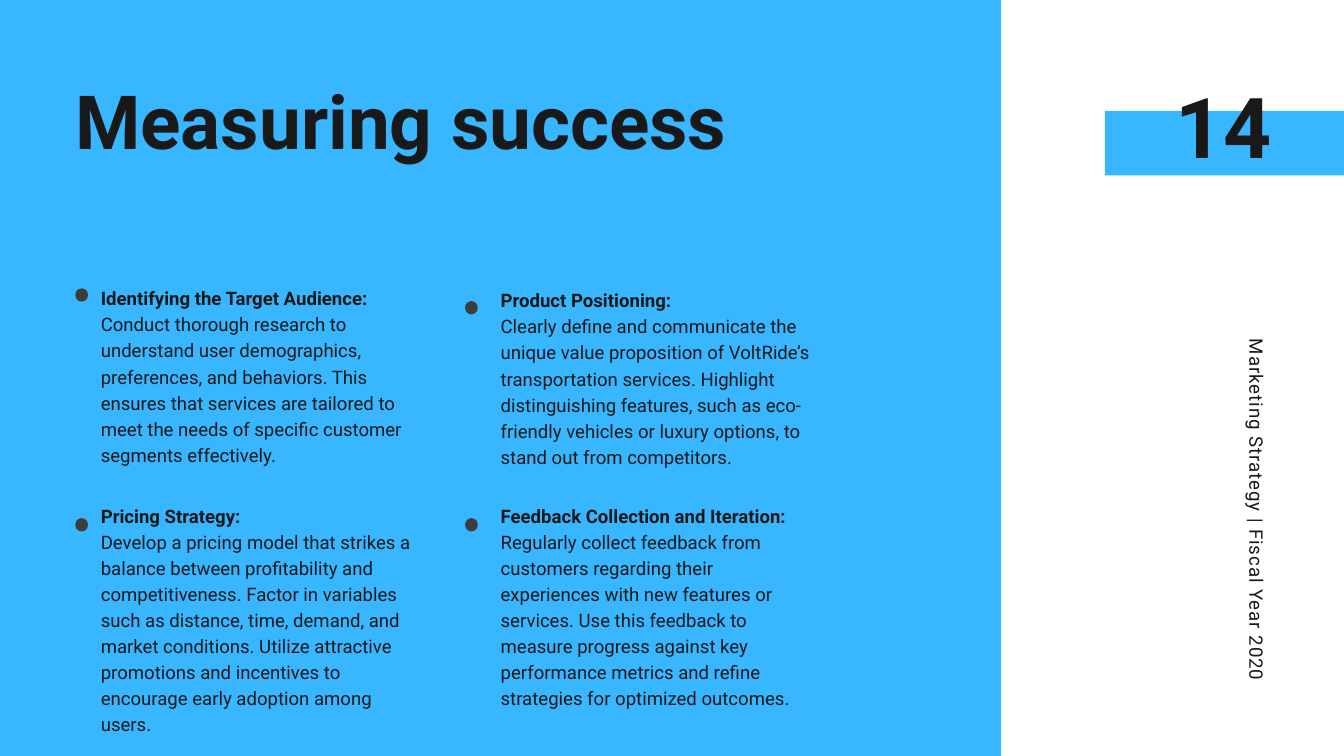
from pptx import Presentation
from pptx.dml.color import RGBColor
from pptx.enum.shapes import MSO_SHAPE
from pptx.enum.text import MSO_AUTO_SIZE, PP_ALIGN
from pptx.util import Inches, Pt

RECTANGLE, OVAL = MSO_SHAPE.RECTANGLE, MSO_SHAPE.OVAL
LEFT, CENTER, RIGHT = PP_ALIGN.LEFT, PP_ALIGN.CENTER, PP_ALIGN.RIGHT
FIT_SHAPE = MSO_AUTO_SIZE.SHAPE_TO_FIT_TEXT

FONT = "Roboto"
COLORS = {"blue": "38B6FF", "ink": "191919", "dot": "3D3D3D"}

COLUMNS = [(1.12, 1.5), (6.92, 7.45)]  # dot left, text left
TOPIC_WIDTH = 4.68
DOT_WIDTH, DOT_HEIGHT = 0.19, 0.2

# Column, dot top, text top, text height, heading, body
TOPICS = [
    (0, 4.29, 4.22, 2.69, "Identifying the Target Audience:",
     "Conduct thorough research to understand user demographics, preferences, "
     "and behaviors. This ensures that services are tailored to meet the needs "
     "of specific customer segments effectively."),
    (1, 4.48, 4.25, 3.08, "Product Positioning:",
     "Clearly define and communicate the unique value proposition of "
     "VoltRide’s transportation services. Highlight distinguishing features, "
     "such as eco-friendly vehicles or luxury options, to stand out from "
     "competitors."),
    (0, 7.71, 7.46, 3.47, "Pricing Strategy:",
     "Develop a pricing model that strikes a balance between profitability and "
     "competitiveness. Factor in variables such as distance, time, demand, and "
     "market conditions. Utilize attractive promotions and incentives to "
     "encourage early adoption among users."),
    (1, 7.71, 7.46, 3.08, "Feedback Collection and Iteration:",
     "Regularly collect feedback from customers regarding their experiences "
     "with new features or services. Use this feedback to measure progress "
     "against key performance metrics and refine strategies for optimized "
     "outcomes."),
]


def add_block(page, kind, left, top, width, height, color):
    block = page.shapes.add_shape(
        kind, Inches(left), Inches(top), Inches(width), Inches(height))
    block.shadow.inherit = False
    block.fill.solid()
    block.fill.fore_color.rgb = RGBColor.from_string(COLORS[color])
    block.line.fill.background()


def add_text(page, lines, left, top, width, height, *, size, leading,
             align=LEFT, rotation=0, spacing=0):
    """Add a text box; lines holds (text, bold) pairs, one per paragraph."""
    box = page.shapes.add_textbox(
        Inches(left), Inches(top), Inches(width), Inches(height))
    box.rotation = rotation
    frame = box.text_frame
    frame.word_wrap = True
    frame.auto_size = FIT_SHAPE
    frame.margin_left = frame.margin_right = 0
    frame.margin_top = frame.margin_bottom = 0
    for index, (text, bold) in enumerate(lines):
        para = frame.add_paragraph() if index else frame.paragraphs[0]
        para.alignment = align
        para.line_spacing = Pt(leading)
        span = para.add_run()
        span.text = text
        span.font.name = FONT
        span.font.size = Pt(size)
        span.font.bold = bold
        span.font.color.rgb = RGBColor.from_string(COLORS["ink"])
        if spacing:
            span.font._element.set("spc", str(spacing * 100))


def add_topic(page, column, dot_top, text_top, height, heading, body):
    dot_left, text_left = COLUMNS[column]
    add_block(page, OVAL, dot_left, dot_top, DOT_WIDTH, DOT_HEIGHT, "dot")
    add_text(page, [(heading, True), (body, False)], text_left, text_top,
             TOPIC_WIDTH, height, size=19.9, leading=27.9)


def main():
    deck = Presentation()
    deck.slide_width, deck.slide_height = Inches(20), Inches(11.25)
    page = deck.slides.add_slide(deck.slide_layouts[6])

    # Side strip: page number and running title
    add_block(page, RECTANGLE, 16.44, 1.65, 3.56, 0.96, "blue")
    add_text(page, [("14", True)], 17.44, 1.11, 1.55, 1.5,
             size=90, leading=108, align=CENTER)
    add_text(page, [("Marketing Strategy | Fiscal Year 2020", False)],
             15.86, 7.06, 5.75, 0.38, size=20, leading=28, align=RIGHT,
             rotation=90, spacing=1)

    # Main panel and title
    add_block(page, RECTANGLE, 0, 0, 14.9, 11.25, "blue")
    add_text(page, [("Measuring success", True)], 1.12, 1.11, 11.52, 1.33,
             size=80, leading=96)

    # Topics in two columns
    for topic in TOPICS:
        add_topic(page, *topic)

    deck.save("out.pptx")


if __name__ == "__main__":
    main()
